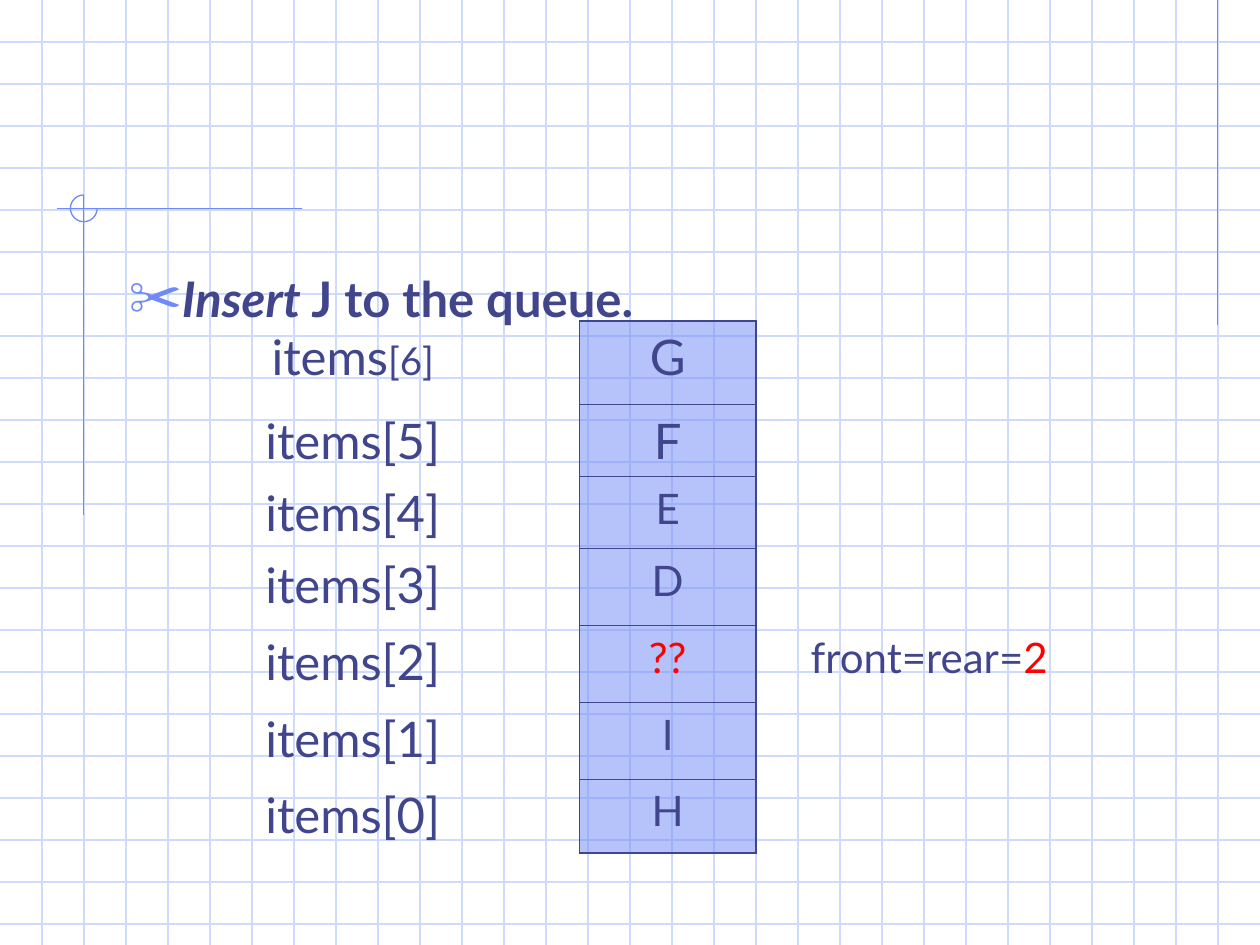
from lxml import etree
from pptx import Presentation
from pptx.dml.color import RGBColor
from pptx.enum.shapes import MSO_CONNECTOR, MSO_SHAPE
from pptx.enum.text import MSO_ANCHOR, MSO_AUTO_SIZE, PP_ALIGN
from pptx.oxml.ns import qn
from pptx.util import Cm, Pt

STRAIGHT = MSO_CONNECTOR.STRAIGHT
ARC = MSO_SHAPE.ARC
TOP = MSO_ANCHOR.TOP
NO_AUTOFIT = MSO_AUTO_SIZE.NONE
LEFT, CENTER = PP_ALIGN.LEFT, PP_ALIGN.CENTER

INK = RGBColor(0x40, 0x45, 0x8C)
ACCENT = RGBColor(0x6F, 0x89, 0xF7)
GRID = RGBColor(0xCF, 0xDB, 0xFD)
RED = RGBColor(0xFF, 0x00, 0x00)

FONT = "Lato"
SLIDE_WIDTH, SLIDE_HEIGHT = 25.4, 19.05
GRID_COLUMNS = 30
NO_STYLE_TABLE = "{2D5ABB26-0587-4C30-8999-92F81FD0307C}"
THICK, THIN = 1.08, 0.45

COLUMN_WIDTHS = (9.14, 3.56, 6.98)
ROW_HEIGHTS = (1.69, 1.45, 1.45, 1.55, 1.55, 1.55, 1.48)
# Queue content from the top slot down: value, size, colour
SLOTS = (
    ("G", 28, INK),
    ("F", 28, INK),
    ("E", 24, INK),
    ("D", 24, INK),
    ("??", 24, RED),
    ("I", 24, INK),
    ("H", 24, INK),
)
FRONT_ROW = 4


def add_text(paragraph, text, size=28, color=INK, bold=False, italic=False):
    run = paragraph.add_run()
    run.text = text
    font = run.font
    font.name, font.size = FONT, Pt(size)
    font.bold, font.italic = bold, italic
    font.color.rgb = color


def add_line(slide, x1, y1, x2, y2, color):
    line = slide.shapes.add_connector(STRAIGHT, Cm(x1), Cm(y1), Cm(x2), Cm(y2))
    line.line.color.rgb = color
    line.line.width = Pt(0.75)
    etree.SubElement(line.element.spPr, qn("a:effectLst"))


def add_grid(slide, width, height):
    step = width / GRID_COLUMNS
    for row in range(1, int(height / step) + 1):
        add_line(slide, 0, row * step, width, row * step, GRID)
    for column in range(1, GRID_COLUMNS):
        add_line(slide, column * step, 0, column * step, height, GRID)


def add_corner_mark(slide, left, top, width, height):
    """Crossing lines with a three-quarter circle around their crossing."""
    radius = 0.27
    center_x, center_y = left + 0.55, top + radius
    add_line(slide, left, center_y, left + width, center_y, ACCENT)
    add_line(slide, center_x, top, center_x, top + height, ACCENT)
    arc = slide.shapes.add_shape(ARC, Cm(center_x - radius), Cm(top),
                                 Cm(2 * radius), Cm(2 * radius))
    arc.adjustments[0] = 0
    arc.adjustments[1] = 162
    arc.shadow.inherit = False
    arc.fill.background()
    arc.line.color.rgb = ACCENT
    arc.line.width = Pt(0.75)


def set_bullet(paragraph, character, color, percent, indent):
    properties = paragraph._p.get_or_add_pPr()
    properties.set("marL", str(indent))
    properties.set("indent", str(-indent))
    bullet_color = etree.SubElement(properties, qn("a:buClr"))
    etree.SubElement(bullet_color, qn("a:srgbClr"), val=str(color))
    etree.SubElement(properties, qn("a:buSzPct"), val=str(percent * 1000))
    etree.SubElement(properties, qn("a:buChar"), char=character)


def fill_body(slide, left, top, width, height):
    body = slide.placeholders[1]
    body.left, body.top = Cm(left), Cm(top)
    body.width, body.height = Cm(width), Cm(height)
    body.element.getparent().append(body.element)  # in front of the grid
    frame = body.text_frame
    frame.word_wrap = True
    frame.auto_size = NO_AUTOFIT
    frame.vertical_anchor = TOP
    paragraph = frame.paragraphs[0]
    set_bullet(paragraph, "✂", ACCENT, 110, Cm(0.95))
    paragraph.alignment = LEFT
    paragraph.space_before = Pt(0)
    add_text(paragraph, "Insert ", bold=True, italic=True)
    add_text(paragraph, "J to the queue.", bold=True)


def set_borders(cell, **widths):
    """Draw the named sides (L, R, T, B) in the given widths, in points."""
    properties = cell._tc.get_or_add_tcPr()
    for side in "LRTB":
        if side in widths:
            line = etree.SubElement(properties, qn(f"a:ln{side}"),
                                    w=str(Pt(widths[side])))
            fill = etree.SubElement(line, qn("a:solidFill"))
            etree.SubElement(fill, qn("a:srgbClr"), val=str(INK))


def fill_half_transparent(cell, color):
    cell.fill.solid()
    cell.fill.fore_color.rgb = color
    color_element = cell._tc.tcPr.find(qn("a:solidFill")).find(qn("a:srgbClr"))
    etree.SubElement(color_element, qn("a:alpha"), val="50000")


def add_queue_table(slide, left, top):
    last = len(SLOTS) - 1
    table = slide.shapes.add_table(
        len(SLOTS), len(COLUMN_WIDTHS), Cm(left), Cm(top),
        Cm(sum(COLUMN_WIDTHS)), Cm(sum(ROW_HEIGHTS))).table
    table.first_row = table.horz_banding = False
    table._tbl.tblPr.find(qn("a:tableStyleId")).text = NO_STYLE_TABLE
    for column, width in zip(table.columns, COLUMN_WIDTHS):
        column.width = Cm(width)
    for row, height in zip(table.rows, ROW_HEIGHTS):
        row.height = Cm(height)

    for row, (value, size, color) in enumerate(SLOTS):
        label, slot, note = (table.cell(row, column) for column in range(3))
        set_borders(label, R=THICK)
        set_borders(slot, L=THICK, R=THICK,
                    T=THICK if row == 0 else THIN,
                    B=THICK if row == last else THIN)
        set_borders(note, L=THICK)
        label.fill.background()
        note.fill.background()
        fill_half_transparent(slot, ACCENT)
        for cell in (label, slot, note):
            cell.text_frame.paragraphs[0].alignment = CENTER

        label_paragraph = label.text_frame.paragraphs[0]
        if row == 0:
            add_text(label_paragraph, "items")
            add_text(label_paragraph, f"[{last}]", size=22)
        else:
            add_text(label_paragraph, f"items[{last - row}]")
        add_text(slot.text_frame.paragraphs[0], value, size=size, color=color)

    front_paragraph = table.cell(FRONT_ROW, 2).text_frame.paragraphs[0]
    add_text(front_paragraph, "front=rear=", size=24)
    add_text(front_paragraph, "2", size=24, color=RED)


def main():
    presentation = Presentation()
    presentation.slide_width = Cm(SLIDE_WIDTH)
    presentation.slide_height = Cm(SLIDE_HEIGHT)
    slide = presentation.slides.add_slide(presentation.slide_layouts[1])
    title = slide.shapes.title.element
    title.getparent().remove(title)

    add_grid(slide, SLIDE_WIDTH, SLIDE_HEIGHT)
    add_line(slide, 24.55, 0, 24.55, 6.55, ACCENT)
    add_corner_mark(slide, 1.14, 3.93, 4.95, 6.46)
    fill_body(slide, 2.34, 5.28, 21.59, 1.93)
    add_queue_table(slide, 2.54, 6.47)
    presentation.save("out.pptx")


if __name__ == "__main__":
    main()
